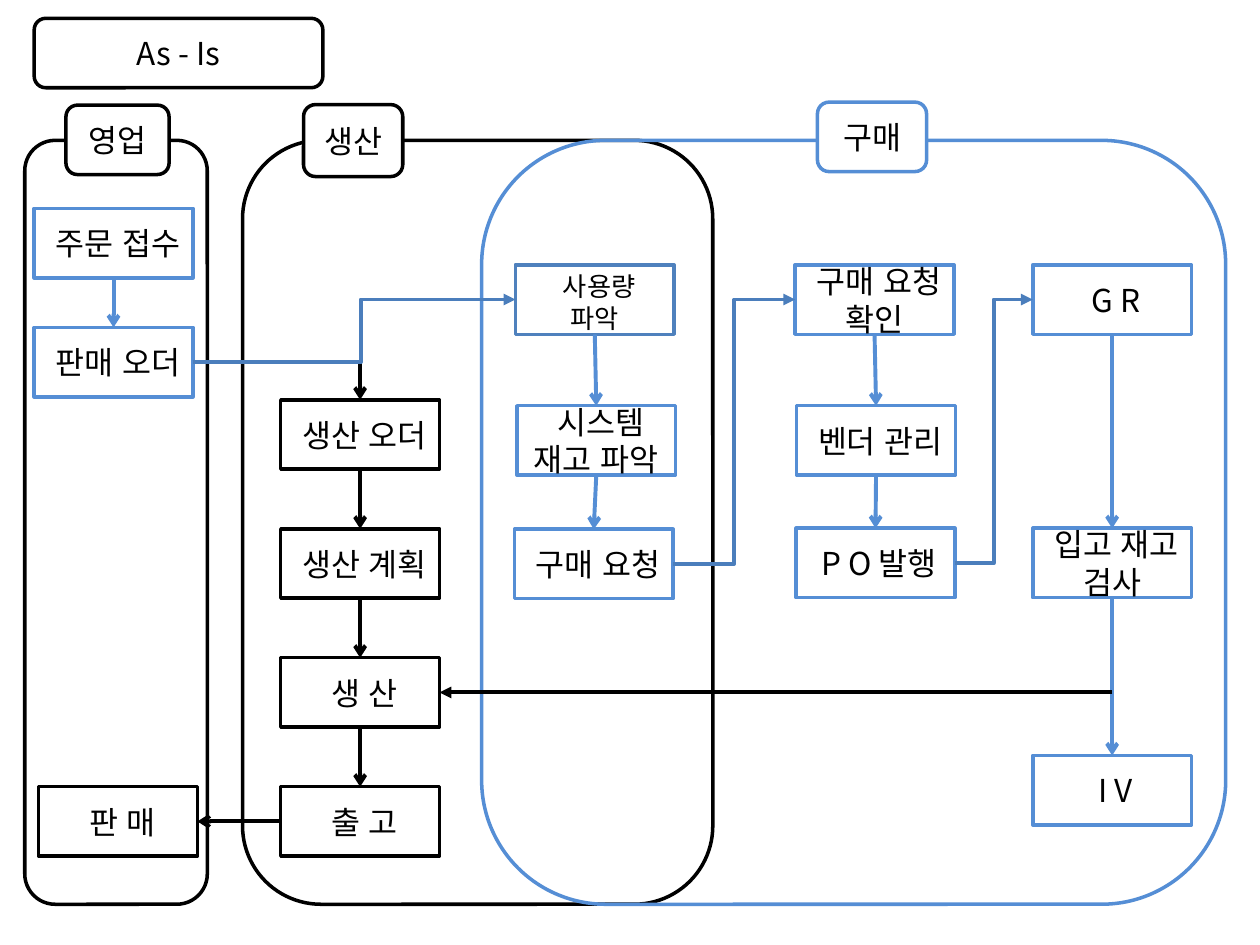
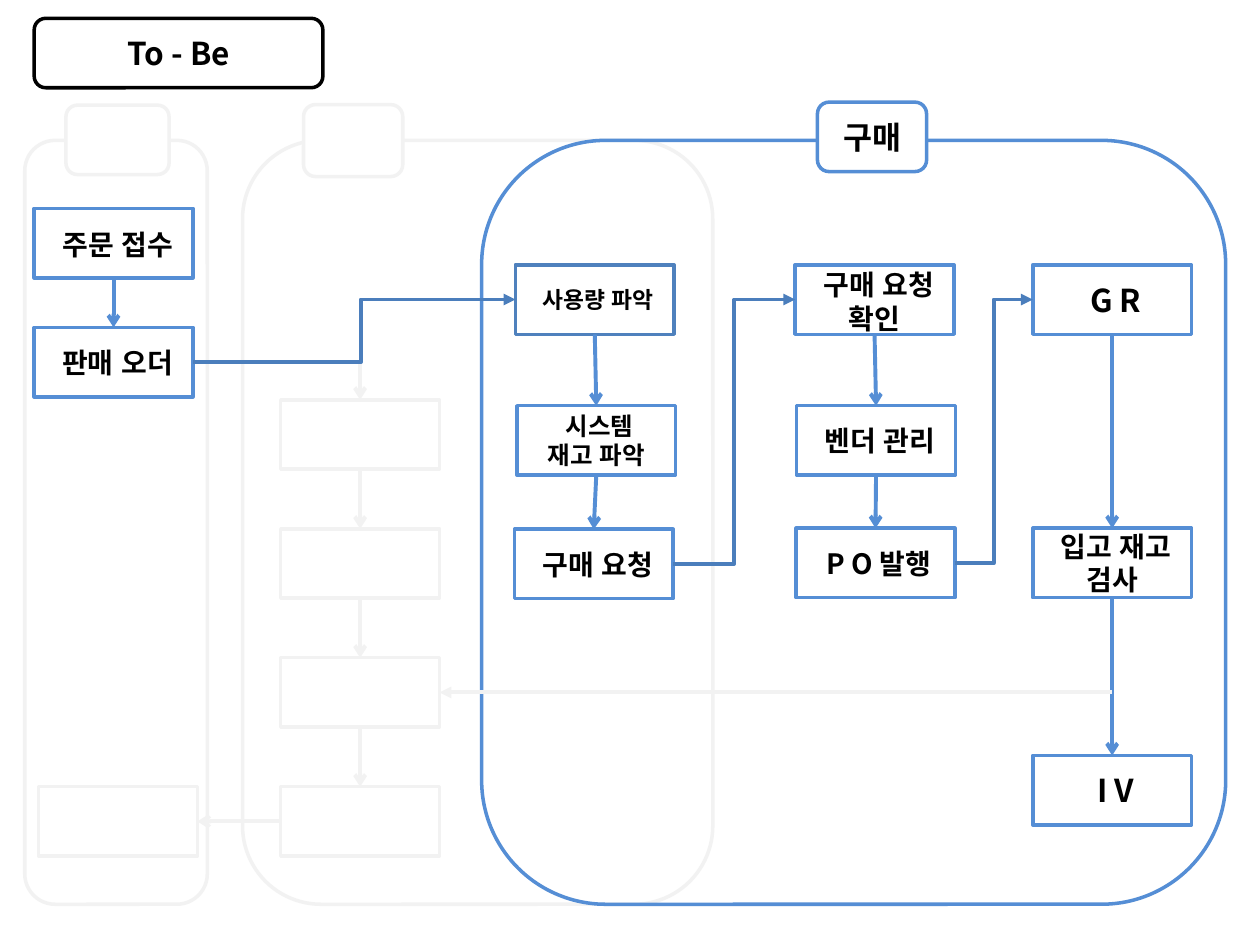
from pptx import Presentation
from pptx.dml.color import RGBColor
from pptx.enum.lang import MSO_LANGUAGE_ID as LANGUAGE
from pptx.enum.shapes import MSO_CONNECTOR as LINK, MSO_SHAPE as SHAPE
from pptx.enum.text import MSO_ANCHOR, PP_ALIGN
from pptx.oxml.ns import qn
from pptx.util import Cm, Pt
from lxml.etree import SubElement

# ---- Shared look (lengths in cm, sizes in points) ----
FONT = "Noto Sans CJK KR"
WHITE, BLACK, FADED = "FFFFFF", "000000", "F2F2F2"
BLUE, STEEL, LINK_BLUE = "558ED5", "4F81BD", "4B7EBC"
BASE = "base"  # sales and production: black with text at first, then faded and empty
BOX_W, BOX_H = 3.2, 1.4
BOX_FORMAT = {"word_wrap": True, "vertical_anchor": MSO_ANCHOR.MIDDLE}
TOP, LEFT, BOTTOM, RIGHT = range(4)  # connection sites

# ---- Lanes: left, width, colour, fill; headings: text, left, top, width, height, colour ----
LANE_TOP, LANE_H = 2.83, 15.4
LANES = [(0.5, 3.68, BASE, WHITE), (4.89, 9.48, BASE, WHITE), (9.71, 15.0, BLUE, None)]
HEADINGS = [
    ("영업", 1.33, 2.12, 2.08, 1.4, BASE),
    ("생산", 6.12, 2.11, 2.0, 1.45, BASE),
    ("구매", 16.48, 2.06, 2.2, 1.4, BLUE),
]
TITLE_AREA = (0.69, 0.37, 5.82, 1.4)

# ---- Steps: name -> (text, left, top, colour) ----
STEPS = {
    "receipt": (" 주문 접수", 0.69, 4.2, BLUE),
    "sales order": (" 판매 오더", 0.69, 6.6, BLUE),
    "sale": (" 판 매", 0.78, 15.86, BASE),
    "usage": (" 사용량 파악", 10.39, 5.34, STEEL),
    "stock": (" 시스템\n재고 파악", 10.42, 8.18, BLUE),
    "request": (" 구매 요청", 10.37, 10.67, BLUE),
    "request check": (" 구매 요청 확인", 16.03, 5.34, BLUE),
    "vendor": (" 벤더 관리", 16.06, 8.18, BLUE),
    "purchase order": (" P O 발행", 16.05, 10.65, BLUE),
    "goods receipt": (" G R", 20.82, 5.34, BLUE),
    "inspection": (" 입고 재고 검사", 20.82, 10.65, BLUE),
    "invoice": (" I V", 20.82, 15.23, BLUE),
}
# The production chain runs down at an even pitch
CHAIN = {"order": " 생산 오더", "plan": " 생산 계획", "make": " 생 산", "issue": " 출 고"}
CHAIN_LEFT, CHAIN_TOP, CHAIN_PITCH = 5.66, 8.06, 2.6
STEPS.update({name: (text, CHAIN_LEFT, CHAIN_TOP + i * CHAIN_PITCH, BASE)
              for i, (name, text) in enumerate(CHAIN.items())})

# ---- Flows ----
DOWN_FLOWS = [
    ("receipt", "sales order", BLUE), ("order", "plan", BASE),
    ("plan", "make", BASE), ("make", "issue", BASE),
    ("usage", "stock", BLUE), ("stock", "request", BLUE),
    ("request check", "vendor", BLUE), ("vendor", "purchase order", BLUE),
    ("goods receipt", "inspection", BLUE), ("inspection", "invoice", BLUE),
]
# Bent flows with the elbow's place in thousandths of a percent
BENT_FLOWS = [
    ("sales order", "usage", 52100),
    ("request", "request check", 50000),
    ("purchase order", "goods receipt", 50000),
]

# ---- Slides: sizes give (leading space, text) where they differ from 18 ----
SLIDES = [
    {"title": "As - Is", "bold": False, "base": BLACK,
     "sizes": {"usage": (18, 15)}, "texts": {"usage": " 사용량\n파악"}},
    {"title": "To - Be", "bold": True, "base": FADED, "texts": {},
     "sizes": {
         "usage": (13, 13), "stock": (14, 14),
         "receipt": (18, 16), "request check": (18, 16),
         **{name: (16, 16) for name in ("sales order", "request", "purchase order",
                                        "vendor", "inspection")},
     }},
]


def rgb(hex_code):
    return RGBColor.from_string(hex_code)


def set_all(target, values):
    for name, value in values.items():
        setattr(target, name, value)


def write(box, text, bold, sizes=(18, 18)):
    frame = box.text_frame
    set_all(frame, BOX_FORMAT)
    for i, line in enumerate(text.split("\n")):
        para = frame.paragraphs[0] if i == 0 else frame.add_paragraph()
        para.alignment = PP_ALIGN.CENTER
        body = line.lstrip()
        lead = line[:len(line) - len(body)]
        for content, size in zip((lead, body), sizes):
            if content:
                span = para.add_run()
                span.text = content
                set_all(span.font, {"name": FONT, "size": Pt(size), "bold": bold,
                                    "language_id": LANGUAGE.KOREAN})
                span.font.color.rgb = rgb(BLACK)
                SubElement(span.font._element, qn("a:ea"), typeface=FONT)


def add_box(page, kind, area, line, fill=WHITE):
    box = page.shapes.add_shape(kind, *map(Cm, area))
    box.shadow.inherit = False
    if fill:
        box.fill.solid()
        box.fill.fore_color.rgb = rgb(fill)
    else:
        box.fill.background()
    box.line.color.rgb = rgb(line)
    box.line.width = Pt(2)
    return box


def site(box, side):
    middle, center = box.left + box.width // 2, box.top + box.height // 2
    return {TOP: (middle, box.top), LEFT: (box.left, center),
            BOTTOM: (middle, box.top + box.height),
            RIGHT: (box.left + box.width, center)}[side]


def add_link(page, start, end, color, kind=LINK.STRAIGHT, head="arrow"):
    """Join two (box, side) ends; a start without a box is a free point."""
    glued = not isinstance(start[0], int)
    begin = site(*start) if glued else start
    link = page.shapes.add_connector(kind, *begin, *site(*end))
    if glued:
        link.begin_connect(*start)
    link.end_connect(*end)
    link.line.color.rgb = rgb(color)
    link.line.width = Pt(2.25)
    SubElement(link.line._get_or_add_ln(), qn("a:tailEnd"), type=head)
    SubElement(link._element.spPr, qn("a:effectLst"))
    return link._element.spPr.find(qn("a:prstGeom"))


deck = Presentation()
deck.slide_width, deck.slide_height = Cm(25.4), Cm(19.05)

for look in SLIDES:
    page = deck.slides.add_slide(deck.slide_layouts[6])
    bold, base = look["bold"], look["base"]
    boxes = {}

    def line_color(color):
        return base if color == BASE else color

    def has_text(color):
        return line_color(color) != FADED

    # Lanes
    for left, width, color, fill in LANES:
        add_box(page, SHAPE.ROUNDED_RECTANGLE, (left, LANE_TOP, width, LANE_H),
                line_color(color), fill)

    # Steps
    for name, (text, left, top, color) in STEPS.items():
        boxes[name] = add_box(page, SHAPE.FLOWCHART_PROCESS, (left, top, BOX_W, BOX_H),
                              line_color(color))
        if has_text(color):
            write(boxes[name], look["texts"].get(name, text), bold,
                  look["sizes"].get(name, (18, 18)))

    # Flows: into production first, so that the blue branch lies on top
    geometry = add_link(page, (boxes["sales order"], RIGHT), (boxes["order"], TOP),
                        base, LINK.ELBOW)
    geometry.set("prst", "bentConnector2")
    for source, target, color in DOWN_FLOWS:
        add_link(page, (boxes[source], BOTTOM), (boxes[target], TOP), line_color(color))
    add_link(page, (boxes["issue"], LEFT), (boxes["sale"], RIGHT), base)
    for source, target, elbow in BENT_FLOWS:
        geometry = add_link(page, (boxes[source], RIGHT), (boxes[target], LEFT),
                            LINK_BLUE, LINK.ELBOW, "triangle")
        guides = geometry.find(qn("a:avLst"))
        SubElement(guides, qn("a:gd"), name="adj1", fmla=f"val {elbow}")

    # Inspected goods branch off to production
    branch_x = site(boxes["invoice"], TOP)[0]
    branch_y = site(boxes["make"], RIGHT)[1]
    add_link(page, (branch_x, branch_y), (boxes["make"], RIGHT), base, head="triangle")

    # Lane headings and slide title
    for text, *area, color in HEADINGS:
        box = add_box(page, SHAPE.ROUNDED_RECTANGLE, area, line_color(color))
        if has_text(color):
            write(box, text, bold)
    title = add_box(page, SHAPE.ROUNDED_RECTANGLE, TITLE_AREA, BLACK)
    write(title, look["title"], bold)

deck.save("out.pptx")
